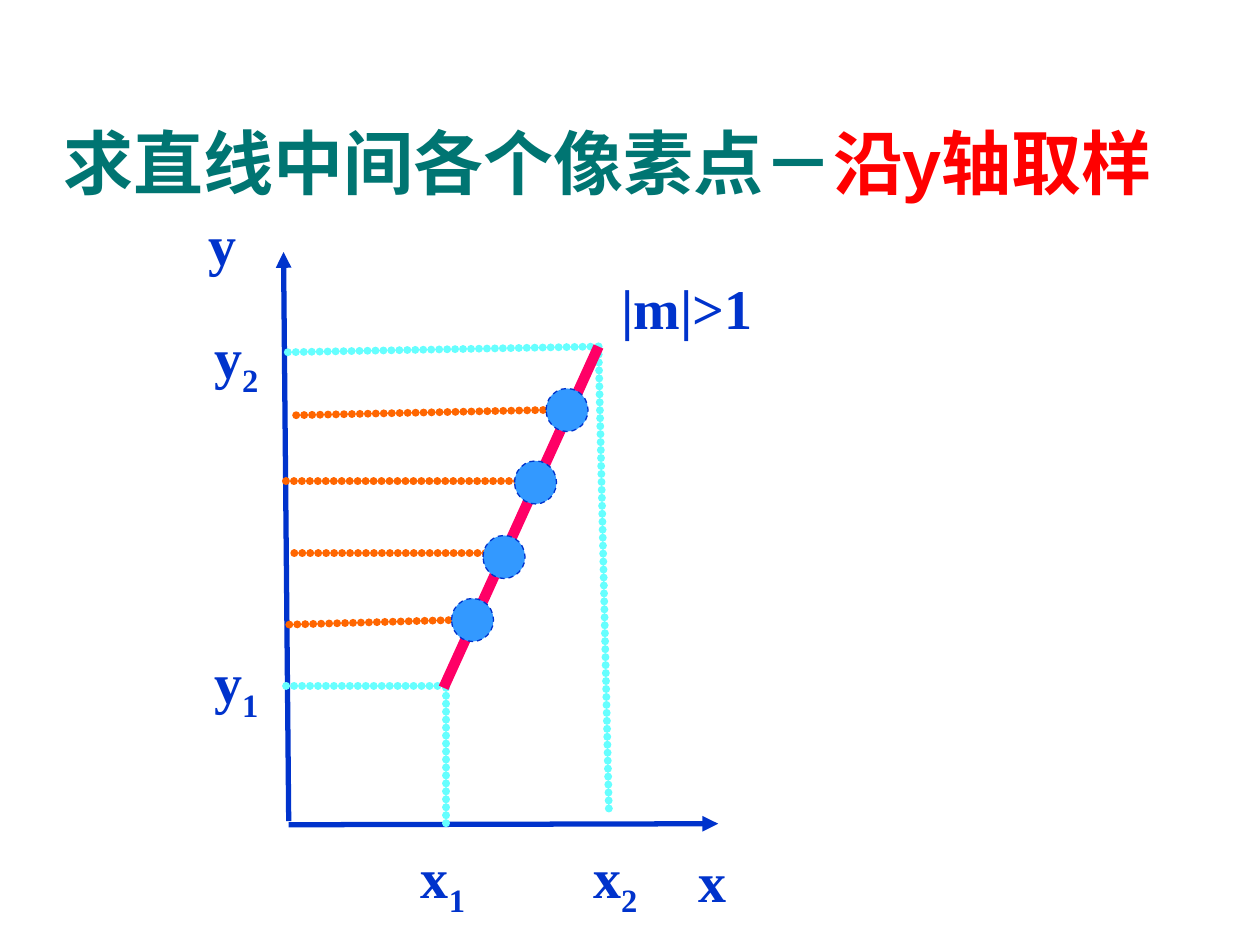
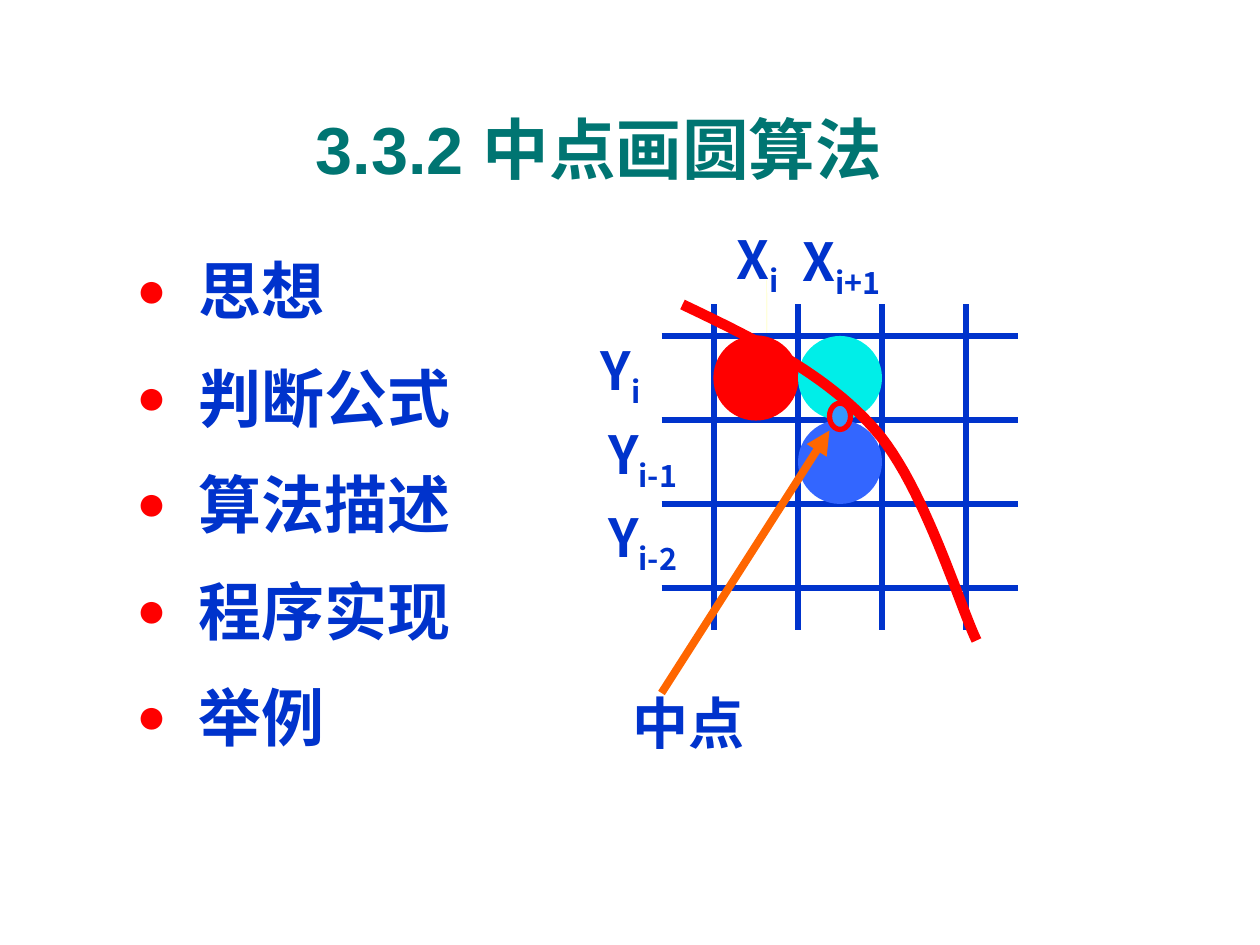
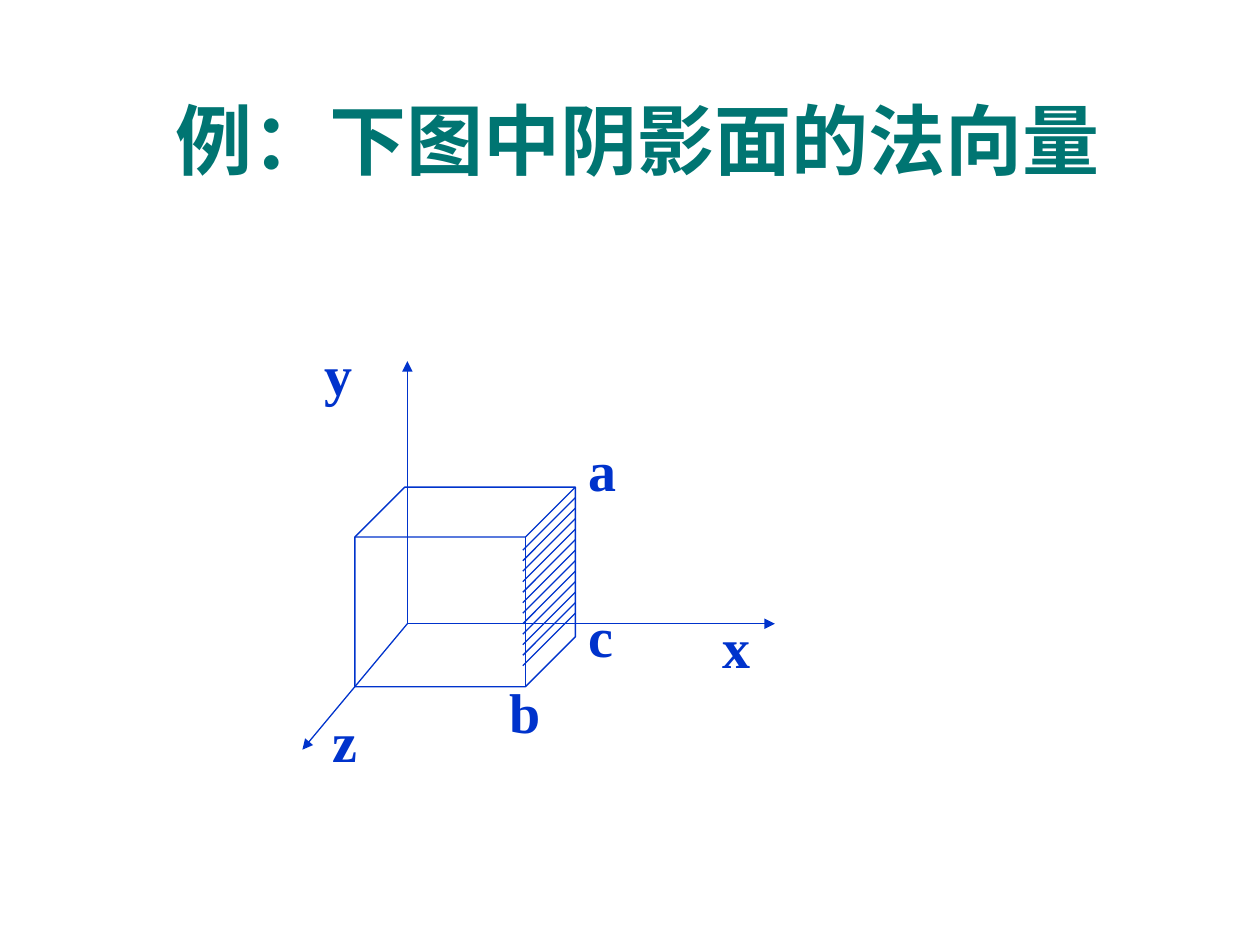
from dataclasses import dataclass

import lxml.etree
import pptx
import pptx.dml.color
import pptx.enum.dml
import pptx.enum.shapes
import pptx.enum.text
import pptx.oxml.ns
import pptx.util

Anchor = pptx.enum.text.MSO_ANCHOR
Align = pptx.enum.text.PP_ALIGN
Kind = pptx.enum.shapes.MSO_SHAPE


@dataclass(frozen=True)
class Theme:
    # Colours
    title: str = "007572"
    ink: str = "0033CC"
    red: str = "FF0000"
    pink: str = "FF0066"
    orange: str = "FF6600"
    aqua: str = "66FFFF"
    teal: str = "00EEE8"
    dot: str = "3399FF"
    blue: str = "3366FF"
    cream: str = "FFFF99"
    # Fonts
    sans: str = "Arial"
    serif: str = "Times New Roman"
    cjk: str = "Noto Sans CJK SC"
    # Type sizes and line widths in points
    label: int = 32
    small: int = 30
    item: int = 36
    thin: float = 0.75
    axis: float = 3
    guide: float = 4.5
    bold: float = 6


T = Theme()

# The slide is a grid of 120 columns by 90 rows
WIDE, HIGH = pptx.util.Inches(10), pptx.util.Inches(7.5)
COLS = 120
UNIT = WIDE / COLS


def grid(*vals):
    return [round(val * UNIT) for val in vals]


def paint(code):
    return pptx.dml.color.RGBColor.from_string(code)


def node(owner, tag, **attrs):
    return lxml.etree.SubElement(owner, pptx.oxml.ns.qn(tag), **attrs)


# Text

def add_run(para, text, size, font, color, sub=False):
    run = para.add_run()
    run.text = text
    run.font.size = pptx.util.Pt(size)
    run.font.name = font
    run.font.bold = True
    run.font.color.rgb = paint(color)
    if sub:
        run.font._element.set("baseline", "-25000")


def text_box(slide, area, anchor, wrap=True):
    frame = slide.shapes.add_textbox(*grid(*area)).text_frame
    frame.word_wrap = wrap
    frame.vertical_anchor = anchor
    return frame


def add_title(slide, area, runs, size, anchor, align=Align.LEFT, space=1.0):
    para = text_box(slide, area, anchor).paragraphs[0]
    para.alignment = align
    para.line_spacing = space
    for text, color in runs:
        add_run(para, text, size, T.sans, color)


def add_label(slide, area, text, sub="", size=T.label, font=T.serif):
    # Spare width on both sides keeps a label on one line
    x, y, wide, high = area
    frame = text_box(slide, (x - 1, y, wide + 2, high), Anchor.MIDDLE, wrap=False)
    frame.margin_left = frame.margin_right = 0
    frame.margin_top = frame.margin_bottom = 0
    para = frame.paragraphs[0]
    para.alignment = Align.CENTER
    add_run(para, text, size, font, T.ink)
    if sub:
        add_run(para, sub, size, font, T.ink, sub=True)


def add_list(slide, area, items):
    frame = text_box(slide, area, Anchor.TOP)
    indent = pptx.util.Inches(0.49)
    for i, (text, font) in enumerate(items):
        para = frame.add_paragraph() if i else frame.paragraphs[0]
        para.line_spacing = 1.2 if i else 0.9
        if i:
            para.space_before = pptx.util.Pt(9)
        props = para._p.get_or_add_pPr()
        props.set("marL", str(indent))
        props.set("indent", str(-indent))
        node(node(props, "a:buClr"), "a:srgbClr", val=T.red)
        node(props, "a:buSzPct", val="80000")
        node(props, "a:buFont", typeface=T.sans)
        node(props, "a:buChar", char="●")
        add_run(para, text, T.item, font, T.ink)


# Lines and shapes

def add_line(slide, start, end, color=T.ink, width=T.thin, arrow=False, dots=False):
    line = slide.shapes.add_connector(
        pptx.enum.shapes.MSO_CONNECTOR.STRAIGHT, *grid(*start, *end))
    line.line.color.rgb = paint(color)
    line.line.width = pptx.util.Pt(width)
    props = line.line._get_or_add_ln()
    if dots:
        props.set("cap", "rnd")
        node(node(props, "a:custDash"), "a:ds", d="100000", sp="1000")
    if arrow:
        node(props, "a:tailEnd", type="triangle")
    node(line._element.spPr, "a:effectLst")


def add_form(slide, kind, area, fill=None, edge=None, width=T.thin, dash=False):
    form = slide.shapes.add_shape(kind, *grid(*area))
    form.shadow.inherit = False
    if fill:
        form.fill.solid()
        form.fill.fore_color.rgb = paint(fill)
    else:
        form.fill.background()
    if edge:
        form.line.color.rgb = paint(edge)
        form.line.width = pptx.util.Pt(width)
        if dash:
            form.line.dash_style = pptx.enum.dml.MSO_LINE.DASH
    else:
        form.line.fill.background()


def bezier(knots, steps=24):
    for i in range(1, steps + 1):
        t = i / steps
        parts = ((1 - t) ** 3, 3 * t * (1 - t) ** 2, 3 * t * t * (1 - t), t ** 3)
        yield tuple(sum(w * knot[k] for w, knot in zip(parts, knots)) for k in (0, 1))


def add_curve(slide, knots, color, width):
    points = [grid(*pt) for i in range(0, len(knots) - 1, 3)
              for pt in bezier(knots[i:i + 4])]
    build = slide.shapes.build_freeform(*grid(*knots[0]))
    build.add_line_segments(points, close=False)
    curve = build.convert_to_shape()
    curve.shadow.inherit = False
    curve.fill.background()
    curve.line.color.rgb = paint(color)
    curve.line.width = pptx.util.Pt(width)


# Slides

def sample_slide(slide):
    add_title(slide, (4.9, 10.8, 113, 9.2),
              [("求直线中间各个像素点－", T.title), ("沿y轴取样", T.red)], 40, Anchor.BOTTOM)
    # Axes
    add_line(slide, (27.5, 78.2), (27, 24), width=T.axis, arrow=True)
    add_line(slide, (27.5, 78.55), (68.4, 78.45), width=T.axis, arrow=True)
    # Guides to both ends of the segment
    low, top = (42.25, 65.5), (57, 33)
    for start, end in [((42.5, 65.5), (42.5, 78.6)), (top, (58, 77.5)),
                       ((27.25, 65.3), (42.25, 65.3)), (top, (27.2, 33.55))]:
        add_line(slide, start, end, T.aqua, T.guide, dots=True)
    for text, sub, x, y in [("x", "1", 40.1, 80.2), ("x", "2", 56.5, 80.2),
                            ("y", "1", 20.4, 61.7), ("y", "2", 20.4, 30.7)]:
        add_label(slide, (x, y, 4.2, 7.3), text, sub)
    add_label(slide, (66.6, 80.6, 2.6, 6.4), "x")
    add_label(slide, (19.85, 20, 2.6, 6.4), "y")
    add_line(slide, low, top, T.pink, T.bold)
    add_label(slide, (58, 25.4, 14.9, 7.7), "|m|>1")
    # Sample rows and their pixels
    for start, end in [((45, 59), (27, 59.5)), ((47, 52.7), (28, 52.7)),
                       ((54, 39), (28, 39.55)), ((50, 45.85), (27, 45.85))]:
        add_line(slide, start, end, T.orange, T.guide, dots=True)
    for i, y in enumerate((57, 51, 43.9, 37)):
        add_form(slide, Kind.OVAL, (43 + 3 * i, y, 4, 4.1), T.dot, T.ink, dash=True)


def circle_slide(slide):
    add_title(slide, (8.8, 8.2, 96.5, 10.3), [("3.3.2 中点画圆算法", T.title)], 38,
              Anchor.MIDDLE, Align.CENTER, 1.2)
    add_list(slide, (11.8, 24.2, 37, 48.2),
             [("思想", T.sans), ("判断公式", "Montserrat"), ("算法描述", "Montserrat"),
              ("程序实现", "Montserrat"), ("举例", T.sans)])
    add_form(slide, Kind.OVAL, (73, 26.6, 0.05, 6.8), T.cream)
    # Pixel grid
    left, top, cell = 68, 32, 8
    for i in range(4):
        add_line(slide, (63, top + cell * i), (97, top + cell * i), width=T.axis)
    for i in range(4):
        add_line(slide, (left + cell * i, 29), (left + cell * i, 60), width=T.axis)
    for text, sub, area in [("X", "i", (70.1, 21.6, 4.2, 6.8)),
                            ("X", "i+1", (76.15, 21.8, 8, 6.8)),
                            ("Y", "i", (57, 32.2, 4.2, 6.8)),
                            ("Y", "i-1", (54.9, 40.2, 12.6, 6.8)),
                            ("Y", "i-2", (54.9, 47.7, 12.6, 7.6))]:
        add_label(slide, area, text, sub, T.small, T.cjk)
    # Pixels by column and row
    for col, row, fill, edge in [(0, 0, T.red, T.red), (1, 0, T.teal, None),
                                 (1, 1, T.blue, None)]:
        add_form(slide, Kind.OVAL,
                 (left + cell * col, top + cell * row, cell, cell), fill, edge)
    # Arc and midpoint
    add_curve(slide, [(65, 29), (71.9, 32.3), (78.7, 35.6), (83.4, 41),
                      (88, 46.3), (91.4, 57.7), (93, 61)], T.red, T.bold)
    add_label(slide, (59, 64.9, 13.1, 7.7), "中点", font="Cabin")
    add_line(slide, (63, 66), (79, 41), T.orange, T.guide, arrow=True)
    add_form(slide, Kind.OVAL, (79, 38.4, 2, 2.5), T.dot, T.red, T.axis)


def cube_slide(slide):
    add_title(slide, (15.5, 7.3, 96.4, 11.8), [("例：下图中阴影面的法向量", T.title)], 44,
              Anchor.TOP, space=1.1)
    # Axes
    for tip in [(73.8, 59.4), (38.8, 34.4), (28.8, 71.4)]:
        add_line(slide, (38.8, 59.4), tip, arrow=True)
    # Cube with a hatched side
    add_form(slide, Kind.CUBE, (33.8, 46.4, 21, 19), edge=T.ink)
    for i in range(12):
        add_line(slide, (49.8, 52.4 + i), (54.8, 47.4 + i))
    for text, x, y in [("x", 67.6, 57.7), ("z", 30.4, 66.6), ("y", 29.7, 31.7),
                       ("a", 54.9, 40.8), ("b", 47.5, 63.9), ("c", 54.7, 56.65)]:
        add_label(slide, (x, y, 5, 7.7), text)


def main():
    deck = pptx.Presentation()
    deck.slide_width, deck.slide_height = WIDE, HIGH
    blank = deck.slide_layouts[6]
    for fill in (sample_slide, circle_slide, cube_slide):
        fill(deck.slides.add_slide(blank))
    deck.save("out.pptx")


if __name__ == "__main__":
    main()
